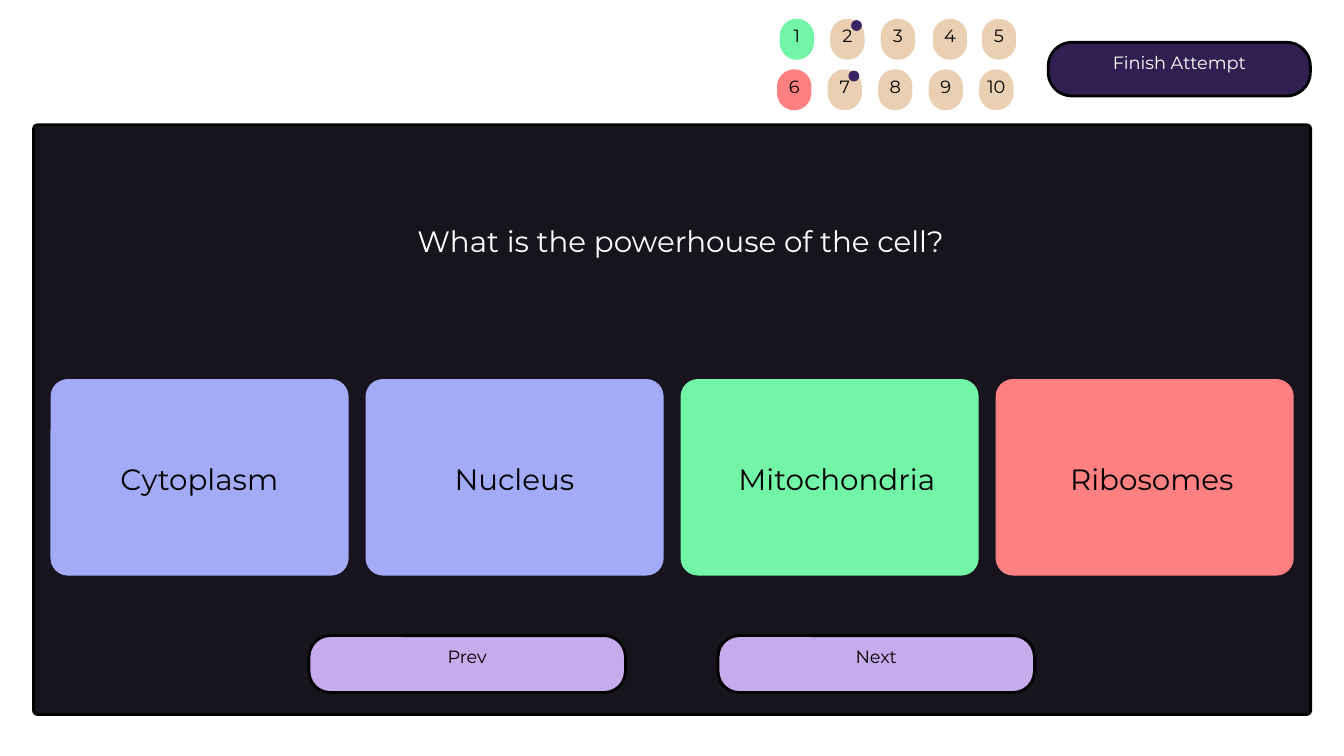
from collections import namedtuple

from pptx import Presentation
from pptx import util as u
from pptx.dml.color import RGBColor
from pptx.enum import shapes, text

BLACK = RGBColor(0x00, 0x00, 0x00)
WHITE = RGBColor(0xFF, 0xFF, 0xFF)
NIGHT = RGBColor(0x17, 0x14, 0x1D)
PERIWINKLE = RGBColor(0xA3, 0xAB, 0xF9)
GREEN = RGBColor(0x72, 0xF5, 0xA6)
RED = RGBColor(0xFF, 0x80, 0x80)
LILAC = RGBColor(0xC8, 0xAB, 0xED)
PURPLE = RGBColor(0x31, 0x1F, 0x51)
FLAG = RGBColor(0x3B, 0x25, 0x62)
SAND = RGBColor(0xEB, 0xCF, 0xB2)

FONT = "Montserrat"
LARGE, SMALL = 31.5, 19

# All lengths are centimetres
Box = namedtuple("Box", "left top width height")


def add_shape(page, kind, box, fill, outlined=False):
    shape = page.shapes.add_shape(kind, *map(u.Cm, box))
    shape.shadow.inherit = False
    shape.fill.solid()
    shape.fill.fore_color.rgb = fill
    if outlined:
        shape.line.color.rgb = BLACK
        shape.line.width = u.Pt(3)
    else:
        shape.line.fill.background()
    return shape


def add_rounded(page, box, radius, fill, outlined=False):
    shape = add_shape(page, shapes.MSO_SHAPE.ROUNDED_RECTANGLE, box, fill, outlined)
    shape.adjustments[0] = radius / min(box.width, box.height)


def add_label(page, box, words, size, color=BLACK, inset=0, anchor=text.MSO_ANCHOR.TOP):
    frame = page.shapes.add_textbox(*map(u.Cm, box)).text_frame
    frame.word_wrap = True
    frame.vertical_anchor = anchor
    frame.margin_left = frame.margin_right = u.Cm(inset)
    frame.margin_top = frame.margin_bottom = u.Cm(inset)
    para = frame.paragraphs[0]
    para.text = words
    para.alignment = text.PP_ALIGN.CENTER
    para.line_spacing = u.Pt(round(size * 1.4, 1))
    para.font.name = FONT
    para.font.size = u.Pt(size)
    para.font.color.rgb = color


def add_button(page, box, words, fill, radius, rise, color=BLACK, outlined=True):
    """A rounded button whose label box starts `rise` above its top edge."""
    add_rounded(page, box, radius, fill, outlined)
    label_box = Box(box.left, box.top - rise, box.width, box.height + rise)
    add_label(page, label_box, words, SMALL, color, 0.15, text.MSO_ANCHOR.MIDDLE)


def add_question(page, box):
    add_rounded(page, box, 0.15, NIGHT, outlined=True)
    add_label(page, Box(box.left + 1.91, box.top + 3.48, 45.09, 1.5),
              "What is the powerhouse of the cell?", LARGE, WHITE)


def add_answers(page, box):
    gap = 0.64
    # Words, card colour, label offset from the card's left edge
    answers = [
        ("Cytoplasm", PERIWINKLE, 1.7),
        ("Nucleus", PERIWINKLE, 1.7),
        ("Mitochondria", GREEN, 1.98),
        ("Ribosomes", RED, 1.98),
    ]
    width = (box.width - gap * (len(answers) - 1)) / len(answers)
    for index, (words, fill, offset) in enumerate(answers):
        card = Box(box.left + index * (width + gap), box.top, width, box.height)
        add_rounded(page, card, 0.66, fill)
        add_label(page, Box(card.left + offset, card.top + 2.87, 7.85, 1.5), words, LARGE)


def add_navigation(page, box):
    width = 11.96
    for left, words in ((box.left, "Prev"), (box.left + box.width - width, "Next")):
        add_button(page, Box(left, box.top, width, box.height), words, LILAC, 0.8, 0.73)


def add_progress(page, box):
    columns, pitch = 5, 1.91
    fills = {1: GREEN, 6: RED}
    flagged = {2, 7}
    nudges = {4: 0.06}
    row_shift = 0.1  # the second row sits slightly further left
    for number in range(1, 11):
        row, column = divmod(number - 1, columns)
        left = box.left + column * pitch + row_shift * (1 - row) + nudges.get(number, 0)
        badge = Box(left, box.top + row * pitch, 1.3, 1.55)
        add_button(page, badge, str(number), fills.get(number, SAND), 0.65, 0.41,
                   outlined=False)
        # Flag dot on questions to revisit
        if number in flagged:
            add_shape(page, shapes.MSO_SHAPE.OVAL,
                      Box(badge.left + 0.79, badge.top + 0.05, 0.41, 0.41), FLAG)


def main():
    deck = Presentation()
    deck.slide_width, deck.slide_height = u.Cm(50.8), u.Cm(28.58)
    page = deck.slides.add_slide(deck.slide_layouts[6])
    add_question(page, Box(1.27, 4.72, 48.27, 22.29))
    add_answers(page, Box(1.91, 14.33, 46.99, 7.43))
    add_navigation(page, Box(11.68, 24.03, 27.42, 2.15))
    add_button(page, Box(39.62, 1.6, 9.91, 2.03), "Finish Attempt", PURPLE, 0.9, 0.68, WHITE)
    add_progress(page, Box(29.37, 0.71, 9.04, 3.46))
    deck.save("out.pptx")


if __name__ == "__main__":
    main()
